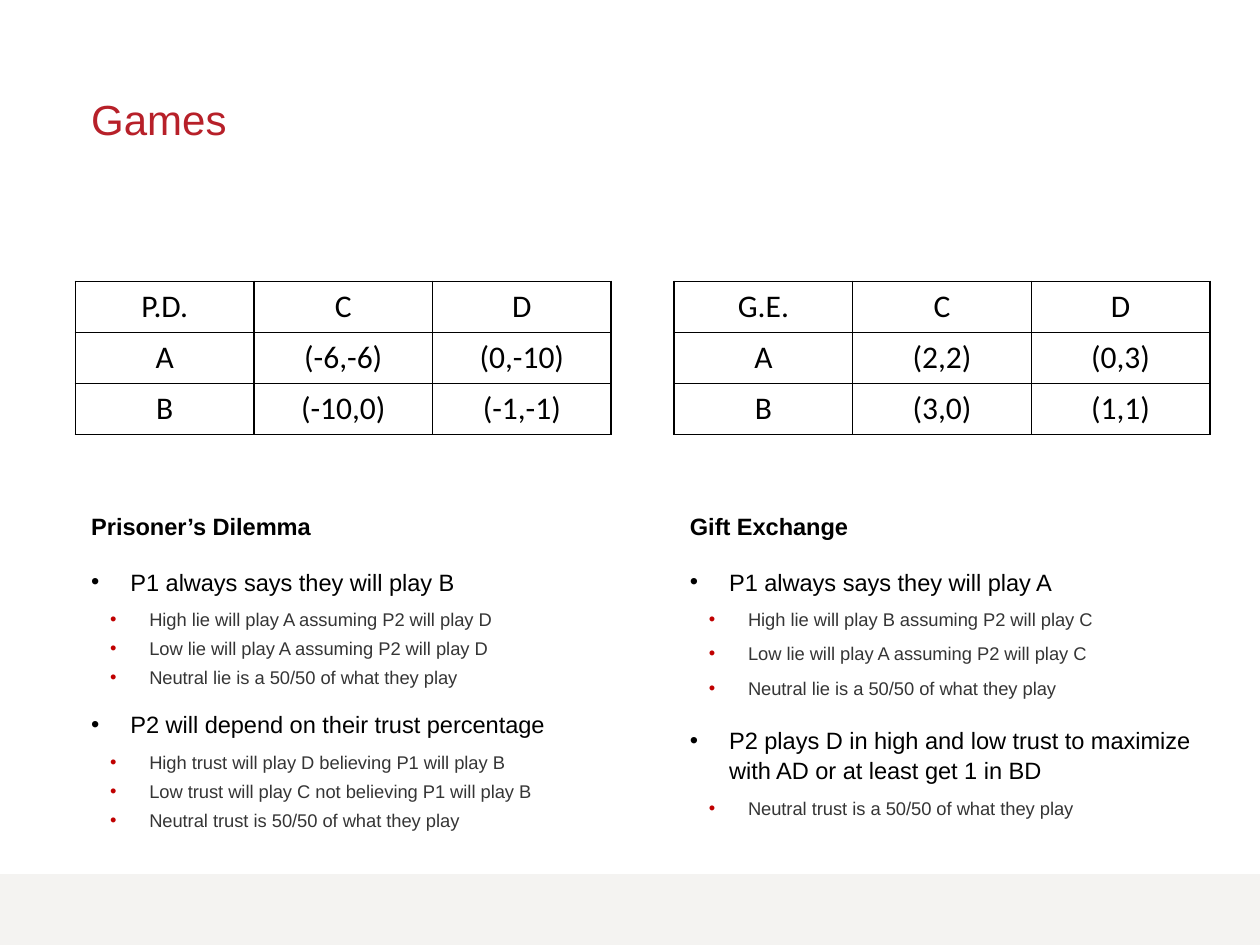
import lxml.etree
import pptx
import pptx.dml.color
import pptx.enum.shapes
import pptx.enum.text
import pptx.oxml.ns
import pptx.util

Cm = pptx.util.Cm
Pt = pptx.util.Pt
qn = pptx.oxml.ns.qn


def color(hex_string):
    return pptx.dml.color.RGBColor.from_string(hex_string)


def add_text(paragraph, text, hex_color, **font_values):
    """Add one run and set its font from the given values."""
    run = paragraph.add_run()
    run.text = text
    for name, value in font_values.items():
        setattr(run.font, name, value)
    run.font.color.rgb = color(hex_color)


HEADING, POINT, DETAIL = range(3)
STYLES = {
    HEADING: {
        "paragraph": {"space_before": Pt(7.5), "space_after": Pt(6.8), "line_spacing": 1.07},
        "font": {"name": "Arial", "size": Pt(13.5), "bold": True},
        "color": "000000",
    },
    POINT: {
        "paragraph": {"space_before": Pt(7.5), "space_after": Pt(6.8), "line_spacing": 1.07},
        "font": {"name": "Arial", "size": Pt(13.5), "bold": False},
        "color": "000000",
        "bullet": {"color": "000000", "margin": Cm(0.79)},
    },
    DETAIL: {
        "paragraph": {"level": 1, "space_before": Pt(0), "line_spacing": 1.02},
        "font": {"name": "Arial", "size": Pt(10.5), "bold": False},
        "color": "353535",
        "bullet": {"color": "C00000", "margin": Cm(1.17)},
    },
}

GAMES = [
    {
        "table_left": Cm(1.52),
        "text_left": Cm(1.84),
        "detail_space": Pt(3.8),
        "payoffs": [
            ["P.D.", "C", "D"],
            ["A", "(-6,-6)", "(0,-10)"],
            ["B", "(-10,0)", "(-1,-1)"],
        ],
        "notes": [
            (HEADING, "Prisoner’s Dilemma"),
            (POINT, "P1 always says they will play B"),
            (DETAIL, "High lie will play A assuming P2 will play D"),
            (DETAIL, "Low lie will play A assuming P2 will play D"),
            (DETAIL, "Neutral lie is a 50/50 of what they play"),
            (POINT, "P2 will depend on their trust percentage"),
            (DETAIL, "High trust will play D believing P1 will play B"),
            (DETAIL, "Low trust will play C not believing P1 will play B"),
            (DETAIL, "Neutral trust is 50/50 of what they play"),
        ],
    },
    {
        "table_left": Cm(13.59),
        "text_left": Cm(13.91),
        "detail_space": Pt(6.8),
        "payoffs": [
            ["G.E.", "C", "D"],
            ["A", "(2,2)", "(0,3)"],
            ["B", "(3,0)", "(1,1)"],
        ],
        "notes": [
            (HEADING, "Gift Exchange"),
            (POINT, "P1 always says they will play A"),
            (DETAIL, "High lie will play B assuming P2 will play C"),
            (DETAIL, "Low lie will play A assuming P2 will play C"),
            (DETAIL, "Neutral lie is a 50/50 of what they play"),
            (POINT, "P2 plays D in high and low trust to maximize with AD or at least get 1 in BD"),
            (DETAIL, "Neutral trust is a 50/50 of what they play"),
        ],
    },
]

presentation = pptx.Presentation()
presentation.slide_width = Cm(25.4)
presentation.slide_height = Cm(19.05)
slide = presentation.slides.add_slide(presentation.slide_layouts[6])

footer = slide.shapes.add_shape(
    pptx.enum.shapes.MSO_SHAPE.RECTANGLE, 0, Cm(17.62), Cm(25.4), Cm(1.43)
)
footer.shadow.inherit = False
footer.fill.solid()
footer.fill.fore_color.rgb = color("F4F3F1")
footer.line.fill.background()

FRAME = {"word_wrap": True, "margin_left": 0, "margin_top": 0, "margin_right": 0, "margin_bottom": 0}

title = slide.shapes.add_textbox(Cm(1.84), Cm(1.78), Cm(22.23), Cm(3.05))
for name, value in FRAME.items():
    setattr(title.text_frame, name, value)
title_paragraph = title.text_frame.paragraphs[0]
title_paragraph.line_spacing = 1.1
add_text(title_paragraph, "Games", "B72029", name="Arial", size=Pt(24))

for game in GAMES:
    notes = slide.shapes.add_textbox(game["text_left"], Cm(10.29), Cm(10.16), Cm(6.88))
    for name, value in FRAME.items():
        setattr(notes.text_frame, name, value)
    for index, (kind, text) in enumerate(game["notes"]):
        style = STYLES[kind]
        paragraph = notes.text_frame.add_paragraph() if index else notes.text_frame.paragraphs[0]
        for name, value in style["paragraph"].items():
            setattr(paragraph, name, value)
        if kind == DETAIL:
            paragraph.space_after = game["detail_space"]
        add_text(paragraph, text, style["color"], **style["font"])
        if "bullet" in style:
            properties = paragraph._p.get_or_add_pPr()
            properties.set("marL", str(style["bullet"]["margin"]))
            properties.set("indent", str(-Cm(0.79)))
            bullet_color = lxml.etree.SubElement(properties, qn("a:buClr"))
            lxml.etree.SubElement(bullet_color, qn("a:srgbClr"), val=style["bullet"]["color"])
            lxml.etree.SubElement(properties, qn("a:buFont"), typeface="Arial")
            lxml.etree.SubElement(properties, qn("a:buChar"), char="•")

    table = slide.shapes.add_table(
        3, 3, game["table_left"], Cm(5.67), Cm(10.8), Cm(3.09)
    ).table
    table.first_row = False
    table.horz_banding = False
    for row_index, row in enumerate(game["payoffs"]):
        for column_index, text in enumerate(row):
            cell = table.cell(row_index, column_index)
            paragraph = cell.text_frame.paragraphs[0]
            paragraph.alignment = pptx.enum.text.PP_ALIGN.CENTER
            add_text(paragraph, text, "000000", name="Calibri", size=Pt(18))
            cell_properties = cell._tc.get_or_add_tcPr()
            for side in ("a:lnL", "a:lnR", "a:lnT", "a:lnB"):
                border = lxml.etree.SubElement(cell_properties, qn(side), w=str(Pt(1)))
                border_fill = lxml.etree.SubElement(border, qn("a:solidFill"))
                lxml.etree.SubElement(border_fill, qn("a:srgbClr"), val="000000")
            cell.fill.background()

presentation.save("out.pptx")
